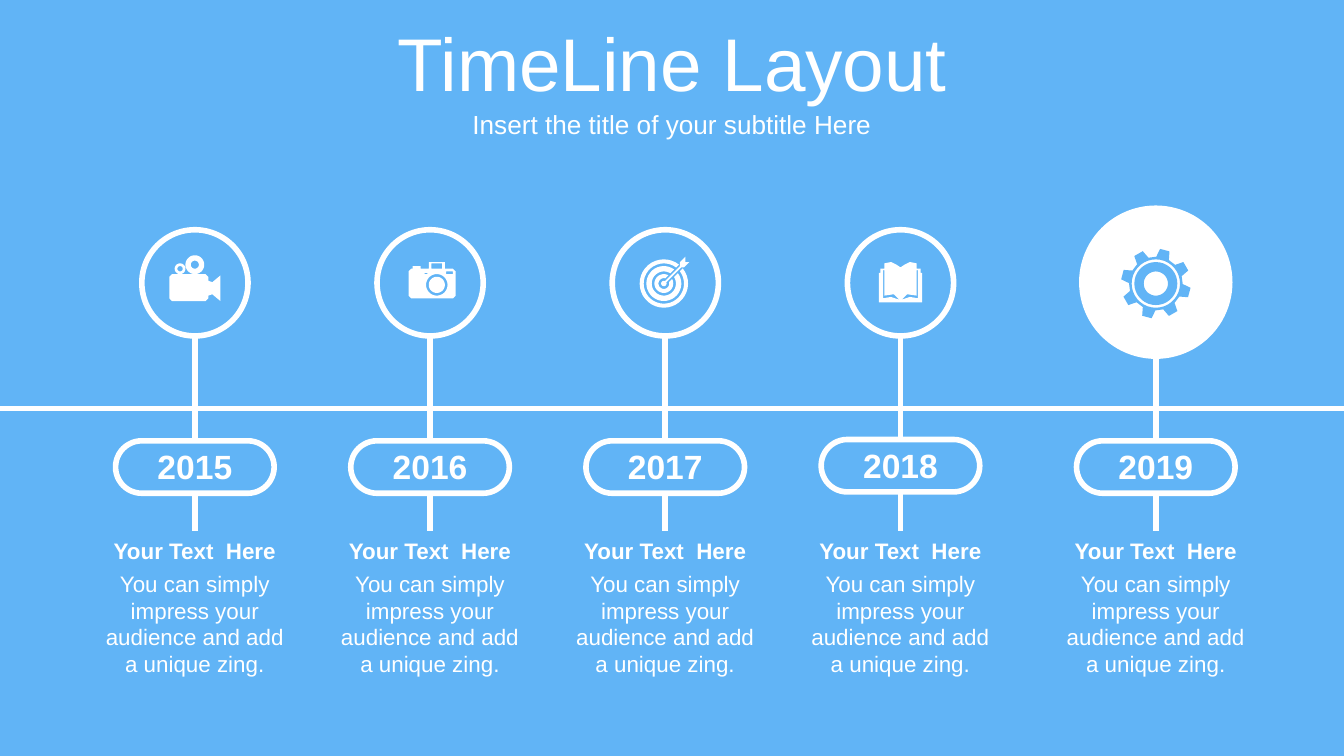
import math
from pptx import Presentation
from pptx import util as u
from pptx.dml.color import RGBColor
from pptx.enum import shapes, text
from pptx.oxml.ns import qn
from lxml import etree

BLUE = RGBColor(0x61, 0xB4, 0xF6)
WHITE = RGBColor(0xFF, 0xFF, 0xFF)
W = 10
H = W * 9 / 16
FIRST, STEP, LAST = 1.45, 1.75, 8.6
AXIS_Y, ICON_Y = 3.04, 2.11
PILL_W, PILL_H, TEXT_W = 1.18, 0.39, 1.53


def arc(cx, cy, r, start=0, end=350):
    angles = [math.radians(start + (end - start) * k / 35) for k in range(36)]
    return [(cx + r * math.cos(a), cy + r * math.sin(a)) for a in angles]


def outline(contours, color):
    pts = [[(u.Inches(x), u.Inches(y)) for x, y in c] for c in contours]
    fb = s.shapes.build_freeform(*pts[0][0], scale=1.0)
    fb.add_line_segments(pts[0][1:], close=True)
    for c in pts[1:]:
        fb.move_to(*c[0])
        fb.add_line_segments(c[1:], close=True)
    sp = fb.convert_to_shape()
    sp.shadow.inherit = False
    sp.fill.solid()
    sp.fill.fore_color.rgb = color
    sp.line.fill.background()


prs = Presentation()
prs.slide_width, prs.slide_height = u.Inches(W), u.Inches(H)
s = prs.slides.add_slide(prs.slide_layouts[0])
s.background.fill.solid()
s.background.fill.fore_color.rgb = BLUE

for sp, words, top, height, size in [
        (s.shapes.title, "TimeLine Layout", 0.14, 0.63, 40),
        (s.placeholders[1], "Insert the title of your subtitle Here", 0.77, 0.31, 14)]:
    sp.left, sp.top, sp.width, sp.height = 0, u.Inches(top), u.Inches(W), u.Inches(height)
    tf = sp.text_frame
    tf.text = words
    tf.vertical_anchor = text.MSO_ANCHOR.MIDDLE
    p = tf.paragraphs[0]
    p.alignment = text.PP_ALIGN.CENTER
    p.space_before = u.Pt(0)
    p.font.name, p.font.size, p.font.color.rgb = "Arial", u.Pt(size), WHITE

centres = [FIRST + STEP * i for i in range(4)] + [LAST]
lines = [(cx, 2.58 if cx == LAST else 2.5, cx, 3.95) for cx in centres]
for ends in lines + [(0, AXIS_Y, W, AXIS_Y)]:
    c = s.shapes.add_connector(shapes.MSO_CONNECTOR.STRAIGHT, *[u.Inches(v) for v in ends])
    c.line.color.rgb, c.line.width = WHITE, u.Pt(3)
    etree.SubElement(c._element.spPr, qn("a:effectLst"))

for i, cx in enumerate(centres):
    size, top, fill = (1.1, 1.55, WHITE) if cx == LAST else (0.79, 1.71, BLUE)
    pill_top = 3.27 if i == 3 else 3.28
    for kind, top, w, h, color in [
            (shapes.MSO_SHAPE.OVAL, top, size, size, fill),
            (shapes.MSO_SHAPE.ROUNDED_RECTANGLE, pill_top, PILL_W, PILL_H, BLUE)]:
        sp = s.shapes.add_shape(kind, u.Inches(cx - w / 2), u.Inches(top), u.Inches(w), u.Inches(h))
        sp.shadow.inherit = False
        sp.fill.solid()
        sp.fill.fore_color.rgb = color
        sp.line.color.rgb, sp.line.width = WHITE, u.Pt(3)
    sp.adjustments[0] = 0.5

    for words, top, w, h, size, bold in [
            (str(2015 + i), pill_top - 0.01, 0.76, 0.4, 18, True),
            ("Your Text  Here", 3.95, TEXT_W, 0.3, 12, True),
            ("You can simply impress your audience and add a unique zing.",
             4.19, TEXT_W, 0.91, 12, False)]:
        tb = s.shapes.add_textbox(u.Inches(cx - w / 2), u.Inches(top), u.Inches(w), u.Inches(h))
        tf = tb.text_frame
        tf.word_wrap = w == TEXT_W
        tf.text = words
        p = tf.paragraphs[0]
        p.alignment = text.PP_ALIGN.CENTER
        p.font.name, p.font.size, p.font.bold, p.font.color.rgb = "Arial", u.Pt(size), bold, WHITE

film = [(1.28, 2.04), (1.53, 2.04), (1.55, 2.06), (1.55, 2.09), (1.58, 2.1), (1.64, 2.05),
        (1.64, 2.24), (1.58, 2.19), (1.55, 2.2), (1.55, 2.22), (1.53, 2.24), (1.28, 2.24),
        (1.26, 2.22), (1.26, 2.06)]
reels = [arc(x, y, r) for x, y, r in [
    (1.34, 2, 0.04), (1.34, 2, 0.02), (1.45, 1.97, 0.07), (1.45, 1.97, 0.03)]]
outline([film] + reels, WHITE)

camera = [(3.06, 2), (3.07, 2), (3.07, 1.98), (3.13, 1.98), (3.13, 2), (3.19, 2), (3.19, 1.95),
          (3.31, 1.95), (3.31, 2), (3.37, 2), (3.39, 2.02), (3.39, 2.2), (3.37, 2.22),
          (3.06, 2.22), (3.04, 2.2), (3.04, 2.02)]
windows = [[(l, t), (r, t), (r, b), (l, b)] for l, t, r, b in [
    (3.21, 1.96, 3.29, 2), (3.16, 2.03, 3.18, 2.04), (3.32, 2.02, 3.37, 2.04)]]
outline([camera] + windows + [arc(3.25, 2.12, r) for r in (0.08, 0.06)], WHITE)

target = [arc(4.94, ICON_Y, 0.02)]
for outer, inner in [(0.18, 0.15), (0.13, 0.09), (0.07, 0.04)]:
    gaps = [math.degrees(math.asin(0.02 / r)) for r in (outer, inner)]
    rim, hollow = [arc(4.94, ICON_Y, r, g - 45, 315 - g) for r, g in zip((outer, inner), gaps)]
    target.append(rim + hollow[::-1])
arrow = [(5.1, 1.91), (5.1, 1.95), (5.13, 1.95), (5.09, 1.99), (5.07, 1.99), (4.96, 2.1),
         (4.95, 2.09), (5.06, 1.98), (5.06, 1.95)]
outline(target + [arrow], WHITE)

SPINE = 6.7
cover = [(0, 2.25), (0.16, 2.25), (0.16, 2.03), (0.15, 2.03), (0.15, 2), (0.12, 2),
         (0.12, 1.96), (0.07, 1.95), (0.03, 1.97), (0, 1.99)]
page_edge = [(0.01, 2.23), (0.05, 2.19), (0.12, 2.2), (0.12, 2.01), (0.13, 2.01),
             (0.13, 2.22), (0.07, 2.21)]
outline([[(SPINE + side * x, y) for x, y in c]
         for side in (-1, 1) for c in (cover, page_edge)], WHITE)

gear = [(LAST + r * math.cos(math.radians(45 * k - 75 + a)),
         ICON_Y + r * math.sin(math.radians(45 * k - 75 + a)))
        for k in range(8) for a, r in [(-14, 0.2), (-8, 0.26), (8, 0.26), (14, 0.2)]]
outline([gear] + [arc(LAST, ICON_Y, r) for r in (0.18, 0.16, 0.09)], BLUE)

prs.save("out.pptx")
